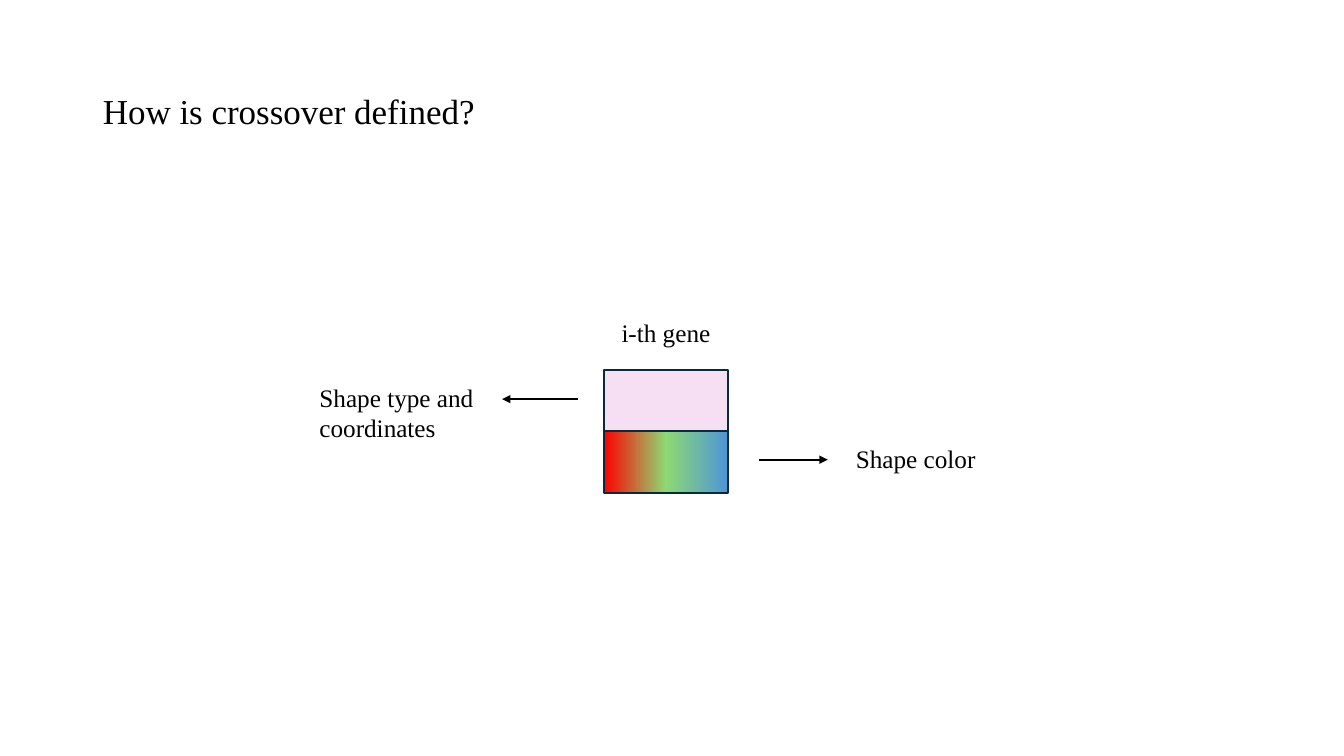
import copy
from dataclasses import dataclass

import pptx
import pptx.dml.color
import pptx.enum.shapes
import pptx.enum.text
import pptx.oxml.ns
import pptx.oxml.xmlchemy
import pptx.util
from pptx.util import Inches

COLORS = {"text": "000000", "outline": "092A39", "pink": "F2CFEE",
          "red": "FF0000", "green": "8ED973", "blue": "4E95D9"}
FONT = "Times New Roman"
LINE_WIDTH = pptx.util.Pt(1.5)
GENE_LEFT, GENE_TOP, GENE_WIDTH, HALF_HEIGHT = 5.99, 3.67, 1.23, 0.61
LEFT = pptx.enum.text.PP_ALIGN.LEFT
CENTER = pptx.enum.text.PP_ALIGN.CENTER


@dataclass
class Label:
    lines: list[str]
    left: float
    top: float
    width: float
    height: float
    align: pptx.enum.text.PP_ALIGN = LEFT


@dataclass
class Arrow:
    start: float
    end: float
    y: float


LABELS = [
    Label(["i-th gene"], 6.06, 3.1, 1.09, 0.4, CENTER),
    Label(["Shape type and", "coordinates"], 3.07, 3.74, 1.84, 0.71),
    Label(["Shape color"], 8.39, 4.35, 1.41, 0.4),
]
ARROWS = [Arrow(7.53, 8.21, 4.56), Arrow(5.73, 4.98, 3.96)]


def rgb(name: str) -> pptx.dml.color.RGBColor:
    return pptx.dml.color.RGBColor.from_string(COLORS[name])


def write_lines(tf, lines: list[str], size: int, align) -> None:
    tf.text = "\n".join(lines)
    for p in tf.paragraphs:
        p.alignment = align
        for name, value in {"name": FONT, "size": pptx.util.Pt(size)}.items():
            setattr(p.font, name, value)
        p.font.color.rgb = rgb("text")


def add_title(slide, text: str) -> None:
    s = slide.shapes.title
    place = {"left": 0.92, "top": 0.4, "width": 11.5, "height": 1.45}
    for name, value in place.items():
        setattr(s, name, Inches(value))
    tf = s.text_frame
    tf.vertical_anchor = pptx.enum.text.MSO_ANCHOR.MIDDLE
    write_lines(tf, [text], 25, LEFT)
    tf.paragraphs[0].line_spacing = 0.9


def add_gene_half(slide, row: int):
    s = slide.shapes.add_shape(
        pptx.enum.shapes.MSO_SHAPE.RECTANGLE,
        Inches(GENE_LEFT), Inches(GENE_TOP + row * HALF_HEIGHT),
        Inches(GENE_WIDTH), Inches(HALF_HEIGHT))
    s.shadow.inherit = False
    s.line.color.rgb = rgb("outline")
    s.line.width = LINE_WIDTH
    return s


def fill_translucent(s, color: str, percent: int) -> None:
    s.fill.solid()
    s.fill.fore_color.rgb = rgb(color)
    clr = s._element.spPr.find(".//" + pptx.oxml.ns.qn("a:srgbClr"))
    alpha = pptx.oxml.xmlchemy.OxmlElement("a:alpha")
    alpha.set("val", str(percent * 1000))
    clr.append(alpha)


def fill_gradient(s, colors: list[str]) -> None:
    """Spread the colours evenly from left to right."""
    s.fill.gradient()
    s.fill.gradient_angle = 0
    stops = s._element.spPr.find(".//" + pptx.oxml.ns.qn("a:gsLst"))
    while len(stops) < len(colors):
        stops.append(copy.deepcopy(stops[-1]))
    for i, (stop, color) in enumerate(zip(s.fill.gradient_stops, colors)):
        stop.position = i / (len(colors) - 1)
        stop.color.rgb = rgb(color)


def add_label(slide, label: Label) -> None:
    s = slide.shapes.add_textbox(Inches(label.left), Inches(label.top),
                                 Inches(label.width), Inches(label.height))
    tf = s.text_frame
    tf.word_wrap = False
    tf.auto_size = pptx.enum.text.MSO_AUTO_SIZE.SHAPE_TO_FIT_TEXT
    write_lines(tf, label.lines, 18, label.align)


def add_arrow(slide, arrow: Arrow) -> None:
    s = slide.shapes.add_connector(
        pptx.enum.shapes.MSO_CONNECTOR.STRAIGHT,
        Inches(arrow.start), Inches(arrow.y), Inches(arrow.end), Inches(arrow.y))
    s.line.color.rgb = rgb("text")
    s.line.width = LINE_WIDTH
    head = pptx.oxml.xmlchemy.OxmlElement("a:tailEnd")
    head.set("type", "triangle")
    s._element.spPr.find(pptx.oxml.ns.qn("a:ln")).append(head)
    s._element.spPr.append(pptx.oxml.xmlchemy.OxmlElement("a:effectLst"))


def main() -> None:
    prs = pptx.Presentation()
    prs.slide_width, prs.slide_height = Inches(13.33), Inches(7.5)
    slide = prs.slides.add_slide(prs.slide_layouts[5])
    add_title(slide, "How is crossover defined?")
    fill_translucent(add_gene_half(slide, 0), "pink", 67)
    fill_gradient(add_gene_half(slide, 1), ["red", "green", "blue"])
    for arrow in ARROWS:
        add_arrow(slide, arrow)
    for label in LABELS:
        add_label(slide, label)
    prs.save("out.pptx")


if __name__ == "__main__":
    main()
